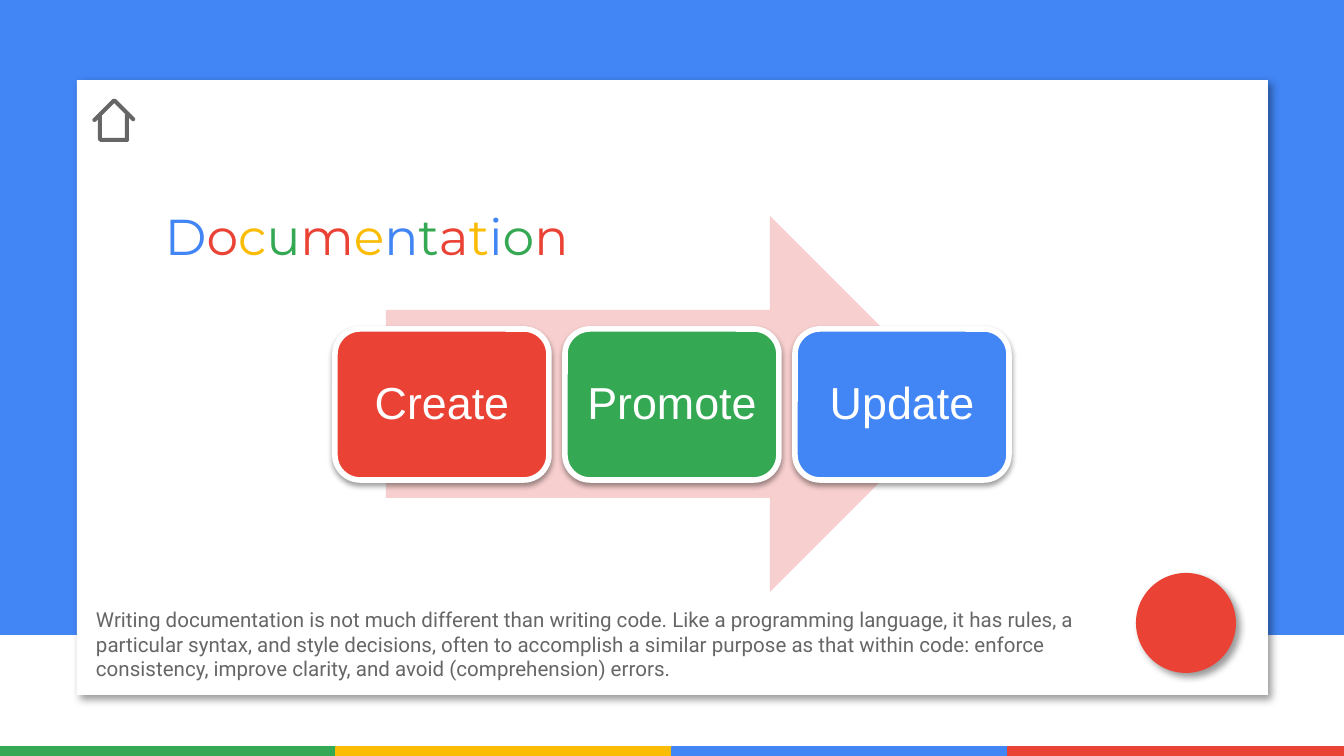
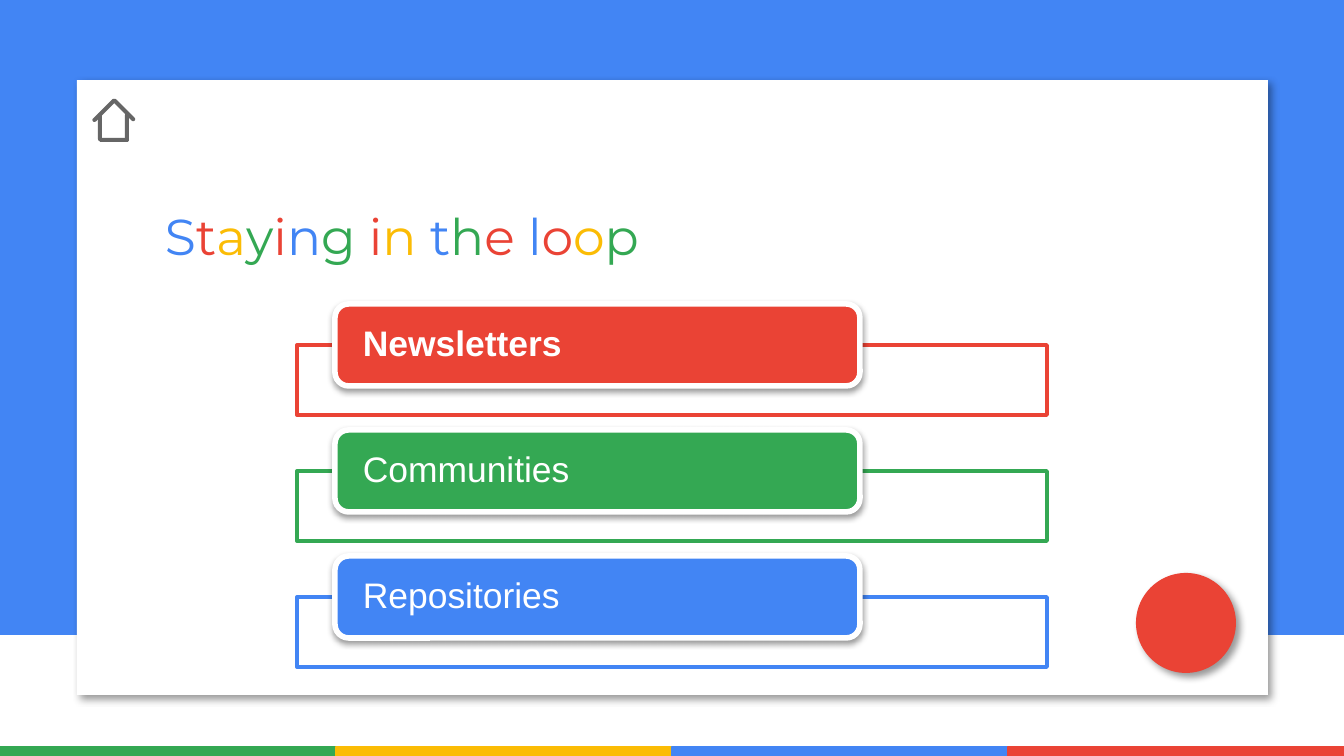
from itertools import groupby

from lxml import etree
from pptx import Presentation
from pptx.dml.color import RGBColor
from pptx.enum.shapes import MSO_SHAPE
from pptx.enum.text import MSO_ANCHOR, PP_ALIGN
from pptx.oxml.ns import qn
from pptx.util import Pt

RECT = MSO_SHAPE.RECTANGLE
ROUND = MSO_SHAPE.ROUNDED_RECTANGLE
OVAL = MSO_SHAPE.OVAL
ARROW = MSO_SHAPE.RIGHT_ARROW
TOP, MIDDLE = MSO_ANCHOR.TOP, MSO_ANCHOR.MIDDLE
LEFT, CENTER = PP_ALIGN.LEFT, PP_ALIGN.CENTER

BLUE = RGBColor(0x42, 0x85, 0xF4)
RED = RGBColor(0xEA, 0x43, 0x35)
YELLOW = RGBColor(0xFB, 0xBC, 0x05)
GREEN = RGBColor(0x34, 0xA8, 0x53)
PINK = RGBColor(0xF7, 0xCF, 0xCE)
GREY = RGBColor(0x66, 0x66, 0x66)
WHITE = RGBColor(0xFF, 0xFF, 0xFF)

LETTER_COLORS = {"B": BLUE, "R": RED, "Y": YELLOW, "G": GREEN}
ACCENTS = (RED, GREEN, BLUE)
FOOTER_COLORS = (GREEN, YELLOW, BLUE, RED)
PANEL_SHADOW = (40, 4, 3, 45)
CARD_SHADOW = (38, 3.1, 1.6, 90)

DOCS_TITLE = ("Documentation", "BRYGRYBGRYBGR")
DOCS_STEPS = ("Create", "Promote", "Update")
DOCS_NOTE = (
    "Writing documentation is not much different than writing code. "
    "Like a programming language, it has rules, a particular syntax, and style "
    "decisions, often to accomplish a similar purpose as that within code: "
    "enforce consistency, improve clarity, and avoid (comprehension) errors."
)
LOOP_TITLE = ("Staying in the loop", "BRYGRBGGRYYBGRRBRYG")
LOOP_CHANNELS = (("Newsletters", True), ("Communities", False), ("Repositories", False))

HOME_ICON = (
    (98, 113, 4, 28, 0),
    (125, 113, 4, 28, 0),
    (112, 125, 4, 30, 90),
    (102, 95, 4, 31, 45),
    (122, 95, 4, 30, 315),
)

SLIDE_W, SLIDE_H = 1344, 756
FOOTER_H = 9
STEP_PITCH = 230
CHANNEL_PITCH = 126


def px(value):
    return round(value * 914400 / 134.4)


def add_shadow(shape, alpha, blur, distance, angle):
    effects = shape._element.spPr.find(qn("a:effectLst"))
    outer = etree.SubElement(
        effects, qn("a:outerShdw"), blurRad=str(Pt(blur)), dist=str(Pt(distance)),
        dir=str(angle * 60000), algn="bl", rotWithShape="0",
    )
    color = etree.SubElement(outer, qn("a:srgbClr"), val="000000")
    etree.SubElement(color, qn("a:alpha"), val=str(alpha * 1000))


def add_block(page, kind, place, fill, line=None, width=0.75, shadow=None):
    shape = page.shapes.add_shape(kind, *map(px, place))
    shape.shadow.inherit = False
    shape.fill.solid()
    shape.fill.fore_color.rgb = fill
    if line is None:
        shape.line.fill.background()
    else:
        shape.line.color.rgb = line
        shape.line.width = Pt(width)
    if shadow:
        add_shadow(shape, *shadow)
    return shape


def set_frame(frame, inset_x, inset_y, anchor=TOP):
    frame.word_wrap = True
    frame.vertical_anchor = anchor
    frame.margin_left = frame.margin_right = px(inset_x)
    frame.margin_top = frame.margin_bottom = px(inset_y)


def style_font(font, name, size, color, bold=False):
    font.name = name
    font.size = Pt(size)
    font.color.rgb = color
    font.bold = bold


def add_text_box(page, place):
    box = page.shapes.add_textbox(*map(px, place))
    set_frame(box.text_frame, 9, 5)
    return box.text_frame


def add_card(page, place, text, fill, size, inset_x, align, bold=False):
    card = add_block(page, ROUND, place, fill, WHITE, 3, CARD_SHADOW)
    set_frame(card.text_frame, inset_x, 4, MIDDLE)
    card.text_frame.text = text
    para = card.text_frame.paragraphs[0]
    para.alignment = align
    para.line_spacing = 0.9
    style_font(para.runs[0].font, "Arial", size, WHITE, bold)


def add_title(page, title, width):
    para = add_text_box(page, (156, 200, width, 78)).paragraphs[0]
    for code, letters in groupby(zip(*title), key=lambda pair: pair[1]):
        span = para.add_run()
        span.text = "".join(letter for letter, _ in letters)
        style_font(span.font, "Montserrat", 27, LETTER_COLORS[code])


def add_page(deck, title, title_width):
    page = deck.slides.add_slide(deck.slide_layouts[6])
    band_width = SLIDE_W // len(FOOTER_COLORS)
    for index, color in enumerate(FOOTER_COLORS):
        place = (index * band_width, SLIDE_H - FOOTER_H, band_width, FOOTER_H)
        add_block(page, RECT, place, color, color)
    add_block(page, RECT, (0, 0, SLIDE_W, 635), BLUE)
    add_block(page, RECT, (77, 80, 1191, 615), WHITE, shadow=PANEL_SHADOW)
    add_block(page, OVAL, (1136, 573, 100, 100), RED, shadow=PANEL_SHADOW)
    for *place, angle in HOME_ICON:
        bar = add_block(page, ROUND, place, GREY)
        bar.adjustments[0] = 0.5
        bar.rotation = angle
    add_title(page, title, title_width)
    return page


def build_documentation(deck):
    page = add_page(deck, DOCS_TITLE, 478)
    add_block(page, ARROW, (386, 216, 572, 376), PINK)
    for index, (step, color) in enumerate(zip(DOCS_STEPS, ACCENTS)):
        place = (335 + index * STEP_PITCH, 329, 214, 151)
        add_card(page, place, step, color, 24, 13, CENTER)
    frame = add_text_box(page, (87, 602, 1027, 86))
    frame.text = DOCS_NOTE
    style_font(frame.paragraphs[0].runs[0].font, "Roboto", 11, GREY)


def build_loop(deck):
    page = add_page(deck, LOOP_TITLE, 848)
    for index, ((channel, bold), color) in enumerate(zip(LOOP_CHANNELS, ACCENTS)):
        offset = index * CHANNEL_PITCH
        outline = add_block(page, RECT, (297, 345 + offset, 750, 70), WHITE, color, 2)
        fill = outline._element.spPr.find(qn("a:solidFill"))
        etree.SubElement(fill[0], qn("a:alpha"), val="90000")
        place = (335, 304 + offset, 525, 82)
        add_card(page, place, channel, color, 19, 24, LEFT, bold)


def main():
    deck = Presentation()
    deck.slide_width = px(SLIDE_W)
    deck.slide_height = px(SLIDE_H)
    build_documentation(deck)
    build_loop(deck)
    deck.save("out.pptx")


if __name__ == "__main__":
    main()
